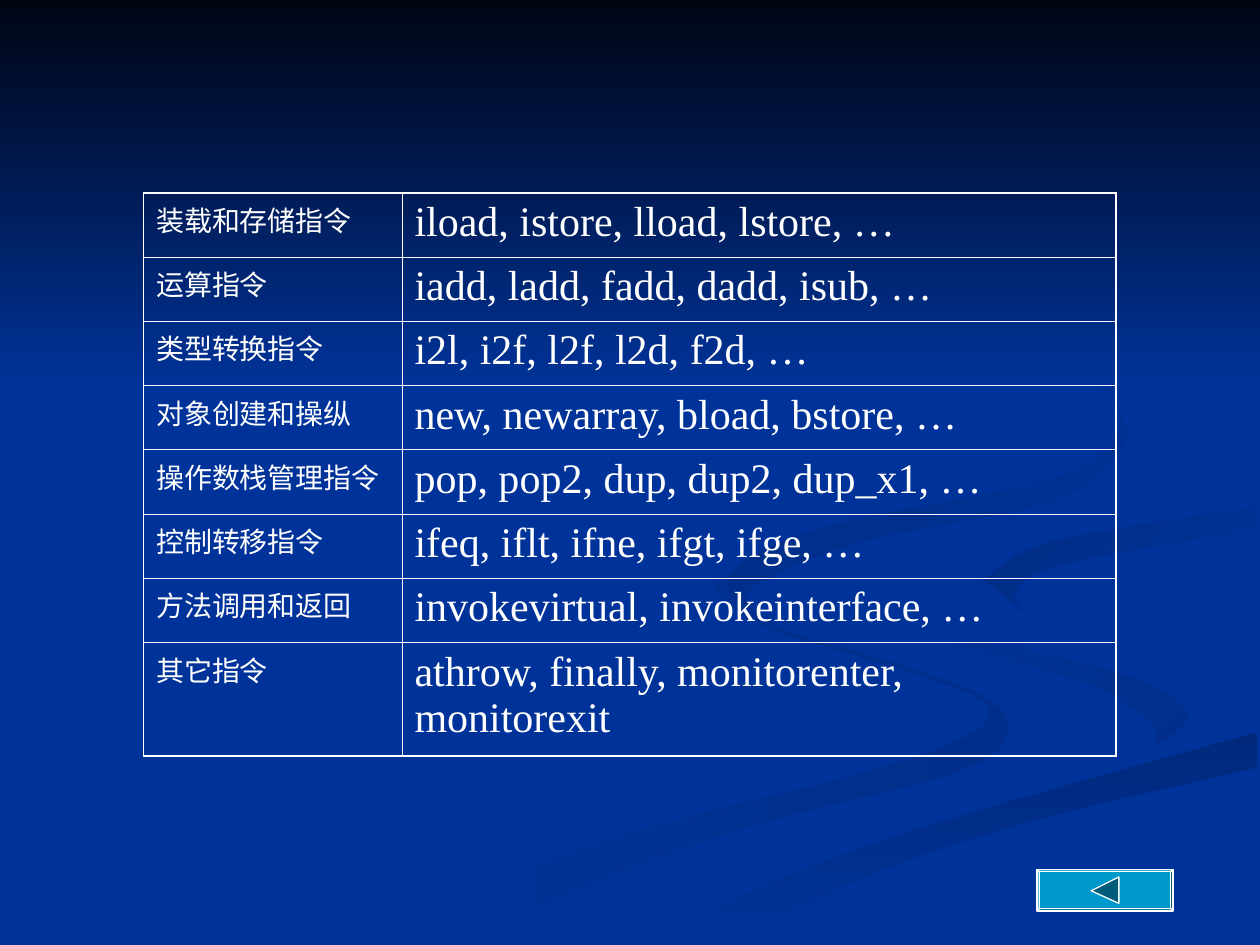
import pptx
import pptx.util
import pptx.dml.color
import pptx.enum.shapes
import pptx.oxml
import pptx.oxml.ns
from lxml import etree
from pptx.util import Inches

THEME = {
    "font": "Times New Roman",
    "ink": "FFFFFF", "back": "003399", "night": "000514",
    "shade": "002E8A", "deep": "00297C", "hook": "002C85", "loop": "002B81",
    "button": "0099CC", "arrow": "005C7A",
    "name_size": 16, "code_size": 24,
    "outer_line": 1.08, "inner_line": 0.45, "button_line": 0.74,
}

INSTRUCTIONS = [
    ("装载和存储指令", "iload, istore, lload, lstore, …"),
    ("运算指令", "iadd, ladd, fadd, dadd, isub, …"),
    ("类型转换指令", "i2l, i2f, l2f, l2d, f2d, …"),
    ("对象创建和操纵", "new, newarray, bload, bstore, …"),
    ("操作数栈管理指令", "pop, pop2, dup, dup2, dup_x1, …"),
    ("控制转移指令", "ifeq, iflt, ifne, ifgt, ifge, …"),
    ("方法调用和返回", "invokevirtual, invokeinterface, …"),
    ("其它指令", "athrow, finally, monitorenter, monitorexit"),
]
COLUMN_WIDTHS = (2.05, 5.67)
ROW_HEIGHTS = [0.51] * 7 + [0.9]

# Smooth edges of the background ribbons; neighbours share an edge
SWIRL = [(7.24, 4.64), (7.58, 4.98), (8.3, 5.19), (9.05, 5.4), (9.43, 5.7),
         (8.94, 6.05)]
SWIRL_INNER = [(8.94, 6.05), (9.18, 5.81), (8.68, 5.44), (7.66, 5.12),
               (7.24, 4.64)]
TAIL_TOP = [(5.03, 7.49), (6.3, 6.93), (7.64, 6.47), (9.98, 5.81)]
TAIL_BOTTOM = [(9.98, 6.09), (8.21, 6.51), (6.95, 6.92), (5.71, 7.49)]
HOOK_TOP = [(7.81, 4.6), (8.35, 4.3), (9.98, 4.02)]
HOOK_BOTTOM = [(9.98, 4.2), (8.43, 4.48), (8.05, 4.72), (8.26, 4.96),
               (7.81, 4.6)]
STREAM_TOP = [(5.75, 4.59), (6.14, 4.96), (7.15, 5.28), (7.81, 5.53),
              (8, 5.81), (7.56, 6.14), (5.64, 6.65), (3.61, 7.49)]
STREAM_BOTTOM = [(3, 7.49), (4.58, 6.74), (7.14, 6.05), (7.86, 5.66),
                 (7.28, 5.35), (6.11, 4.99), (5.7, 4.7), (5.75, 4.59)]
LOOP_OUTER = [(7.62, 2.33), (8.62, 2.92), (8.89, 3.35), (8.42, 3.78),
              (6.49, 4.2), (5.77, 4.62), (6.22, 5)]
LOOP_INNER = [(6.22, 5), (5.93, 4.7), (6.83, 4.3), (8.41, 3.96),
              (8.94, 3.44), (8.43, 2.75), (7.62, 2.33)]
STREAK = [(8.94, 6.05), (7.04, 6.55), (4.77, 7.49)]
BEND = [(9.98, 5.38), (8.66, 5.09), (7.81, 4.6)]
CREST = [(9.98, 3.87), (8.3, 4.15), (7.24, 4.64)]
SKY = [(0, 0), (0, 3.08)], [(10, 3.08), (10, 0)]

# Gradient start, gradient end, clockwise angle, edges
RIBBONS = [
    ("shade", "back", 180, (STREAM_TOP, STREAM_BOTTOM)),
    ("shade", "back", 225, (SWIRL, SWIRL_INNER)),
    ("deep", "back", 90, (TAIL_TOP, TAIL_BOTTOM)),
    ("back", "back", 0, (SWIRL, STREAK, TAIL_TOP, BEND, HOOK_TOP, CREST)),
    ("back", "hook", 225, (HOOK_TOP, HOOK_BOTTOM)),
    ("back", "loop", 225, (LOOP_OUTER, LOOP_INNER)),
    ("night", "back", 90, SKY),
]
ARROW = [(8.66, 7.07), (8.88, 6.96), (8.88, 7.17)]


def color(name):
    """Return a theme colour."""
    return pptx.dml.color.RGBColor.from_string(THEME[name])


def smooth(edge, steps=6):
    """Return points of a Catmull-Rom curve through an edge."""
    if len(edge) < 3:
        return edge
    padded = [edge[0], *edge, edge[-1]]
    curve = []
    for a, b, c, d in zip(padded, padded[1:], padded[2:], padded[3:]):
        for t in (step / steps for step in range(steps)):
            curve.append(tuple(
                q + t * (r - p + t * (2 * p - 5 * q + 4 * r - s
                                      + t * (3 * q - p - 3 * r + s))) / 2
                for p, q, r, s in zip(a, b, c, d)))
    return curve + [edge[-1]]


def draw_outline(page, points):
    """Add a closed, shadowless freeform through points given in inches."""
    start, *rest = [(Inches(x), Inches(y)) for x, y in points]
    builder = page.shapes.build_freeform(*start)
    builder.add_line_segments(rest, close=True)
    shape = builder.convert_to_shape()
    shape.shadow.inherit = False
    return shape


def draw_ribbon(page, first, last, angle, edges):
    """Add one borderless background ribbon with its fill."""
    shape = draw_outline(page, [point for edge in edges for point in smooth(edge)])
    shape.line.fill.background()
    if first == last:
        shape.fill.solid()
        shape.fill.fore_color.rgb = color(first)
        return
    shape.fill.gradient()
    shape.fill.gradient_angle = 360 - angle
    for stop, name in zip(shape.fill.gradient_stops, (first, last)):
        stop.color.rgb = color(name)


def paint(shape, fill):
    """Give a button part its fill and white edge."""
    shape.fill.solid()
    shape.fill.fore_color.rgb = color(fill)
    shape.line.color.rgb = color("ink")
    shape.line.width = pptx.util.Pt(THEME["button_line"])


def draw_button(page):
    """Add the bevelled back button and its arrow."""
    button = page.shapes.add_shape(
        pptx.enum.shapes.MSO_SHAPE.BEVEL,
        Inches(8.23), Inches(6.9), Inches(1.08), Inches(0.33))
    button.shadow.inherit = False
    button.adjustments[0] = 0.06
    paint(button, "button")
    paint(draw_outline(page, ARROW), "arrow")


def set_borders(cell, outer_sides):
    """Rule a cell, heavier on the sides at the table's edge."""
    properties = cell._tc.get_or_add_tcPr()
    for side in "LRTB":
        weight = THEME["outer_line" if side in outer_sides else "inner_line"]
        line = etree.SubElement(properties, pptx.oxml.ns.qn("a:ln" + side),
                                w=str(pptx.util.Pt(weight)))
        fill = etree.SubElement(line, pptx.oxml.ns.qn("a:solidFill"))
        etree.SubElement(fill, pptx.oxml.ns.qn("a:srgbClr"), val=THEME["ink"])


def draw_table(page):
    """Add the table of instruction groups."""
    table = page.shapes.add_table(
        len(INSTRUCTIONS), len(COLUMN_WIDTHS), Inches(1.14), Inches(1.53),
        Inches(sum(COLUMN_WIDTHS)), Inches(sum(ROW_HEIGHTS))).table
    table.first_row = table.horz_banding = False
    for column, width in zip(table.columns, COLUMN_WIDTHS):
        column.width = Inches(width)
    last = len(INSTRUCTIONS) - 1
    for r, (texts, height) in enumerate(zip(INSTRUCTIONS, ROW_HEIGHTS)):
        table.rows[r].height = Inches(height)
        edge = {0: "T", last: "B"}.get(r, "")
        for c, (text, side, size, space) in enumerate(zip(
                texts, "LR", (THEME["name_size"], THEME["code_size"]), (4, 6))):
            cell = table.cell(r, c)
            set_borders(cell, edge + side)
            cell.fill.background()
            cell.text = text
            para = cell.text_frame.paragraphs[0]
            para.space_before = pptx.util.Pt(space)
            para.font.name = THEME["font"]
            para.font.size = pptx.util.Pt(size)
            para.font.color.rgb = color("ink")


deck = pptx.Presentation()
deck.slide_width, deck.slide_height = Inches(10), Inches(7.5)
page = deck.slides.add_slide(deck.slide_layouts[6])
page.background.fill.solid()
page.background.fill.fore_color.rgb = color("back")
for ribbon in RIBBONS:
    draw_ribbon(page, *ribbon)
draw_button(page)
draw_table(page)
deck.save("out.pptx")
